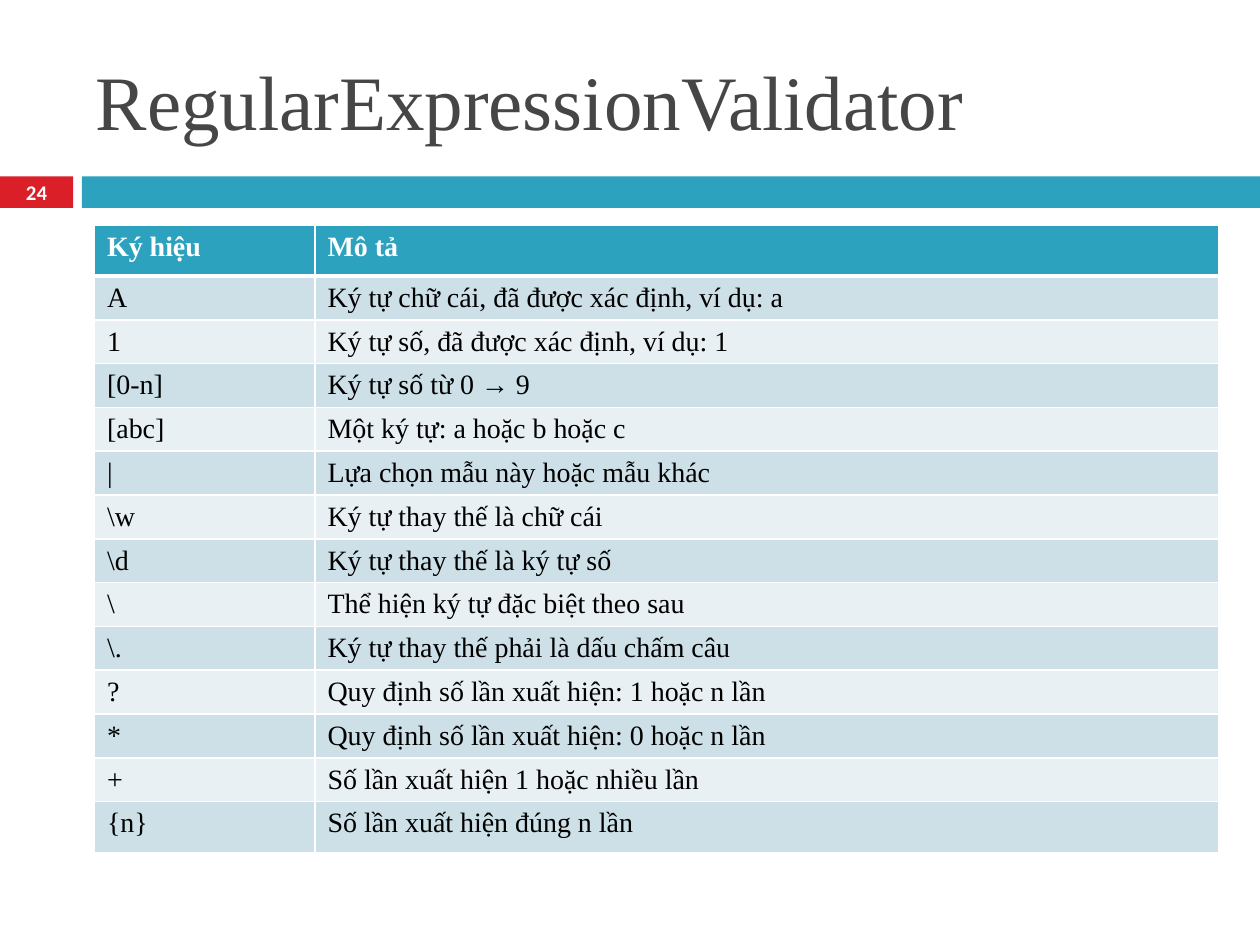
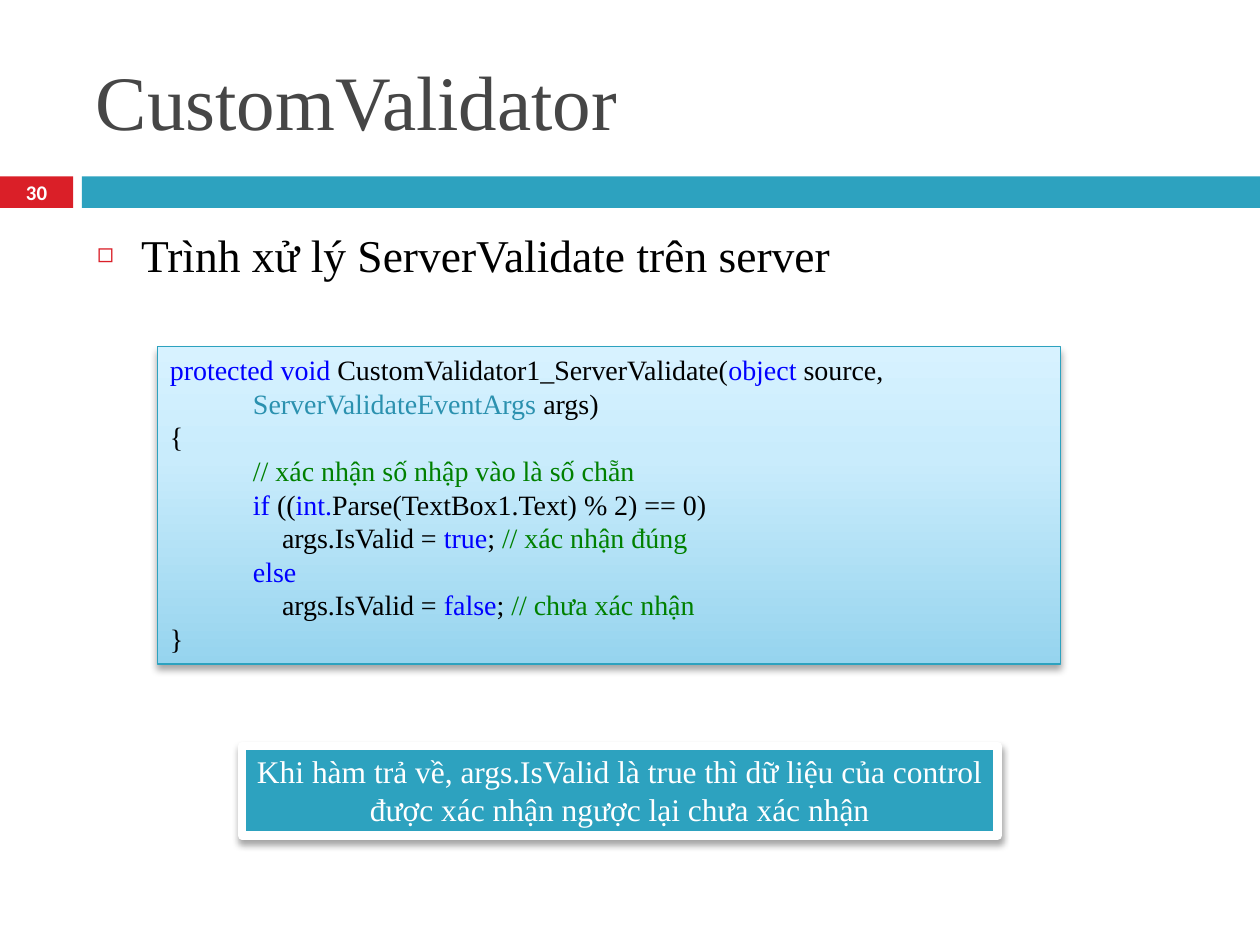
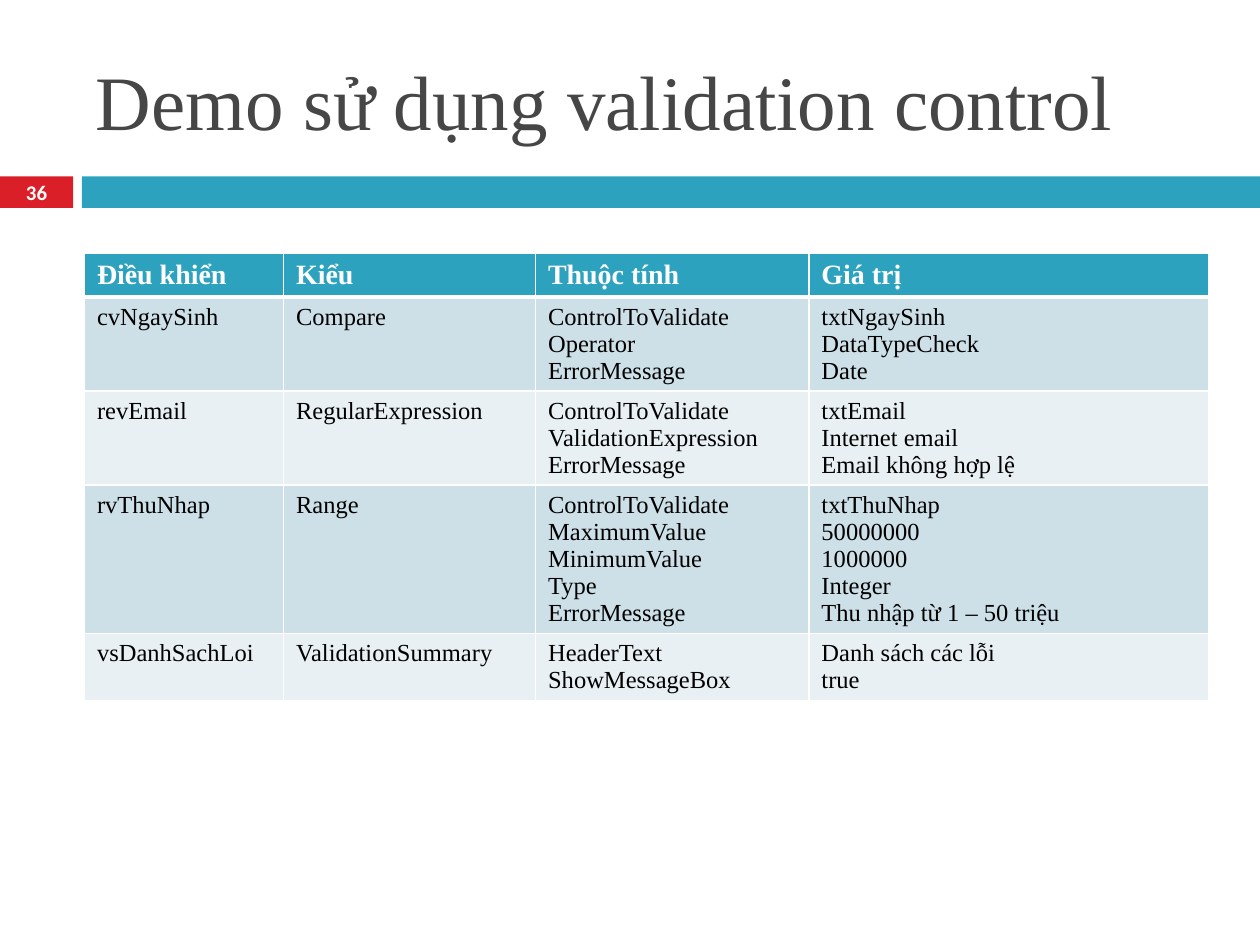
from dataclasses import dataclass
from typing import NamedTuple

from lxml.etree import SubElement
from pptx import Presentation
from pptx.dml.color import RGBColor
from pptx.enum.shapes import MSO_SHAPE
from pptx.enum.text import MSO_ANCHOR, MSO_AUTO_SIZE, PP_ALIGN
from pptx.oxml.ns import qn
from pptx.util import Inches, Pt


# Colours, fonts and type sizes
@dataclass(frozen=True)
class Theme:
    font: str = "Times New Roman"
    number_font: str = "Calibri"
    white: str = "FFFFFF"
    black: str = "000000"
    title: str = "464646"
    teal: str = "2DA2BF"
    red: str = "DA1F28"
    row_dark: str = "CDE0E8"
    row_light: str = "E8F0F4"
    keyword: str = "0000FF"
    type_name: str = "2B91AF"
    comment: str = "008000"
    code_gradient: tuple = ((0, "96D4EE"), (65, "C9ECFC"), (100, "D7F2FF"))
    title_size: float = 44
    body_size: float = 26
    callout_size: float = 18
    code_size: float = 16
    header_size: float = 16
    detail_size: float = 14
    number_size: float = 11.9
    code_leading: float = 1.2
    table_leading: float = 1.11


T = Theme()


class Box(NamedTuple):
    left: float
    top: float
    width: float
    height: float

    def lengths(self) -> list:
        return [Inches(side) for side in self]


class CodeLine(NamedTuple):
    indent: float
    runs: tuple  # (text, colour) pairs


@dataclass(frozen=True)
class TableSpec:
    left: float
    top: float
    columns: tuple
    heights: tuple
    body_size: float
    rows: tuple  # the first row is the header; "\n" parts paragraphs


TITLE_BOX = Box(0.66, 0.25, 8.92, 1.08)
BODY_BOX = Box(0.67, 1.75, 8.92, 4.92)
NUMBER_BOX = Box(0, 1.39, 0.58, 0.27)
BANDS = ((Box(0, 1.4, 0.58, 0.25), T.red), (Box(0.65, 1.4, 9.35, 0.25), T.teal))


# Text and shape helpers
def rgb(colour: str) -> RGBColor:
    return RGBColor.from_string(colour)


def add_run(paragraph, text: str, size: float, colour: str,
            bold: bool = False, font: str = T.font) -> None:
    run = paragraph.add_run()
    run.text = text
    run.font.size, run.font.name, run.font.bold = Pt(size), font, bold
    run.font.color.rgb = rgb(colour)


def add_paragraph(frame, index: int, leading: float):
    paragraph = frame.add_paragraph() if index else frame.paragraphs[0]
    paragraph.line_spacing = Pt(round(leading, 1))
    return paragraph


def set_indent(paragraph, margin: float, first: float = 0):
    properties = paragraph._p.get_or_add_pPr()
    properties.set("marL", str(Inches(margin)))
    properties.set("indent", str(Inches(first)))
    return properties


def add_panel(slide, box: Box, fill: str, line: str = "", line_width: float = 0):
    panel = slide.shapes.add_shape(MSO_SHAPE.RECTANGLE, *box.lengths())
    panel.shadow.inherit = False
    panel.fill.solid()
    panel.fill.fore_color.rgb = rgb(fill)
    if line:
        panel.line.color.rgb = rgb(line)
        panel.line.width = Pt(line_width)
    else:
        panel.line.fill.background()
    panel.text_frame.word_wrap = True
    panel.text_frame.vertical_anchor = MSO_ANCHOR.TOP
    return panel


def add_colour(parent, colour: str):
    return SubElement(parent, qn("a:srgbClr"), val=colour)


def cast_shadow(panel) -> None:
    effects = panel.element.spPr.find(qn("a:effectLst"))
    shadow = SubElement(effects, qn("a:outerShdw"), blurRad=str(Pt(4)),
                        dist=str(Pt(3)), dir="5400000", rotWithShape="0")
    SubElement(add_colour(shadow, T.black), qn("a:alpha"), val="35000")


def shade(panel, stops: tuple) -> None:
    panel.fill.gradient()
    panel.fill.gradient_angle = 90
    stop_list = panel.element.spPr.find(".//" + qn("a:gsLst"))
    for stop in list(stop_list):
        stop_list.remove(stop)
    for percent, colour in stops:
        add_colour(SubElement(stop_list, qn("a:gs"), pos=str(percent * 1000)), colour)


# Slide parts
def move_bands_to_master(prs, slide) -> None:
    tree = prs.slide_master.shapes.element
    for position, (box, colour) in enumerate(BANDS, start=2):
        tree.insert(position, add_panel(slide, box, colour).element)


def place(placeholder, box: Box):
    (placeholder.left, placeholder.top,
     placeholder.width, placeholder.height) = box.lengths()
    placeholder.text_frame.auto_size = MSO_AUTO_SIZE.NONE
    return placeholder.text_frame


def add_titled_slide(prs, layout: int, title: str, number: int):
    slide = prs.slides.add_slide(prs.slide_layouts[layout])
    heading = place(slide.shapes.title, TITLE_BOX)
    heading.vertical_anchor = MSO_ANCHOR.MIDDLE
    heading.paragraphs[0].alignment = PP_ALIGN.LEFT
    add_run(heading.paragraphs[0], title, T.title_size, T.title)

    page = slide.shapes.add_textbox(*NUMBER_BOX.lengths()).text_frame
    page.word_wrap = True
    page.vertical_anchor = MSO_ANCHOR.MIDDLE
    page.paragraphs[0].alignment = PP_ALIGN.CENTER
    add_run(page.paragraphs[0], str(number), T.number_size, T.white, True, T.number_font)
    return slide


def add_bullet(slide, text: str) -> None:
    bullet = place(slide.placeholders[1], BODY_BOX).paragraphs[0]
    bullet.space_before = Pt(7)
    properties = set_indent(bullet, 0.35, -0.35)
    add_colour(SubElement(properties, qn("a:buClr")), T.red)
    SubElement(properties, qn("a:buSzPct"), val="60000")
    SubElement(properties, qn("a:buChar"), char="◻")
    add_run(bullet, text, T.body_size, T.black)


def add_code(slide, box: Box, lines: tuple) -> None:
    panel = add_panel(slide, box, T.white, T.teal, 0.75)
    shade(panel, T.code_gradient)
    cast_shadow(panel)
    for index, line in enumerate(lines):
        paragraph = add_paragraph(panel.text_frame, index, T.code_size * T.code_leading)
        paragraph.alignment = PP_ALIGN.LEFT
        set_indent(paragraph, line.indent)
        for text, colour in line.runs:
            add_run(paragraph, text, T.code_size, colour)


def add_callout(slide, box: Box, text: str) -> None:
    panel = add_panel(slide, box, T.teal, T.white, 5)
    cast_shadow(panel)
    message = panel.text_frame.paragraphs[0]
    message.alignment = PP_ALIGN.CENTER
    add_run(message, text, T.callout_size, T.white)


def set_borders(cell, row: int) -> None:
    properties = cell._tc.get_or_add_tcPr()
    widths = {"L": 1, "R": 1, "T": 3 if row == 1 else 1, "B": 3 if row == 0 else 1}
    for side, width in widths.items():
        line = SubElement(properties, qn(f"a:ln{side}"), w=str(Pt(width)))
        add_colour(SubElement(line, qn("a:solidFill")), T.white)


def add_table(slide, spec: TableSpec) -> None:
    box = Box(spec.left, spec.top, sum(spec.columns), sum(spec.heights))
    table = slide.shapes.add_table(
        len(spec.rows), len(spec.columns), *box.lengths()).table
    for column, width in zip(table.columns, spec.columns):
        column.width = Inches(width)
    for row, (height, texts) in enumerate(zip(spec.heights, spec.rows)):
        table.rows[row].height = Inches(height)
        header = row == 0
        fill = T.teal if header else (T.row_light, T.row_dark)[row % 2]
        size = T.header_size if header else spec.body_size
        for column, text in enumerate(texts):
            cell = table.cell(row, column)
            set_borders(cell, row)
            cell.fill.solid()
            cell.fill.fore_color.rgb = rgb(fill)
            for index, part in enumerate(text.split("\n")):
                paragraph = add_paragraph(cell.text_frame, index, size * T.table_leading)
                add_run(paragraph, part, size, T.white if header else T.black, header)


# Content
SYMBOLS = TableSpec(0.75, 1.79, (1.75, 7.17), (0.4, *[0.34] * 12, 0.41), T.header_size, (
    ("Ký hiệu", "Mô tả"),
    ("A", "Ký tự chữ cái, đã được xác định, ví dụ: a"),
    ("1", "Ký tự số, đã được xác định, ví dụ: 1"),
    ("[0-n]", "Ký tự số từ 0 → 9"),
    ("[abc]", "Một ký tự: a hoặc b hoặc c"),
    ("|", "Lựa chọn mẫu này hoặc mẫu khác"),
    ("\\w", "Ký tự thay thế là chữ cái"),
    ("\\d", "Ký tự thay thế là ký tự số"),
    ("\\", "Thể hiện ký tự đặc biệt theo sau"),
    ("\\.", "Ký tự thay thế phải là dấu chấm câu"),
    ("?", "Quy định số lần xuất hiện: 1 hoặc n lần"),
    ("*", "Quy định số lần xuất hiện: 0 hoặc n lần"),
    ("+", "Số lần xuất hiện 1 hoặc nhiều lần"),
    ("{n}", "Số lần xuất hiện đúng n lần"),
))

CONTROLS = TableSpec(0.67, 2.01, (1.58, 2, 2.17, 3.17), (0.34, 0.69, 0.69, 1.1, 0.49),
                     T.detail_size, (
    ("Điều khiển", "Kiểu", "Thuộc tính", "Giá trị"),
    ("cvNgaySinh", "Compare", "ControlToValidate\nOperator\nErrorMessage",
     "txtNgaySinh\nDataTypeCheck\nDate"),
    ("revEmail", "RegularExpression",
     "ControlToValidate\nValidationExpression\nErrorMessage",
     "txtEmail\nInternet email\nEmail không hợp lệ"),
    ("rvThuNhap", "Range",
     "ControlToValidate\nMaximumValue\nMinimumValue\nType\nErrorMessage",
     "txtThuNhap\n50000000\n1000000\nInteger\nThu nhập từ 1 – 50 triệu"),
    ("vsDanhSachLoi", "ValidationSummary", "HeaderText\nShowMessageBox",
     "Danh sách các lỗi\ntrue"),
))

STEP, NESTED = 0.66, 0.89  # code indents
SERVER_VALIDATE = (
    CodeLine(0, (("protected void ", T.keyword),
                 ("CustomValidator1_ServerValidate(", T.black),
                 ("object ", T.keyword), ("source,", T.black))),
    CodeLine(STEP, (("ServerValidateEventArgs ", T.type_name), ("args)", T.black))),
    CodeLine(0, (("{", T.black),)),
    CodeLine(STEP, (("// xác nhận số nhập vào là số chẵn", T.comment),)),
    CodeLine(STEP, (("if ", T.keyword), ("((", T.black), ("int.", T.keyword),
                    ("Parse(TextBox1.Text) % 2) == 0)", T.black))),
    CodeLine(NESTED, (("args.IsValid = ", T.black), ("true", T.keyword),
                      ("; ", T.black), ("// xác nhận đúng", T.comment))),
    CodeLine(STEP, (("else", T.keyword),)),
    CodeLine(NESTED, (("args.IsValid = ", T.black), ("false", T.keyword),
                      ("; ", T.black), ("// chưa xác nhận", T.comment))),
    CodeLine(0, (("}", T.black),)),
)


def main() -> None:
    prs = Presentation()
    prs.slide_width, prs.slide_height = Inches(10), Inches(7.5)
    content_layout, title_only = 1, 5

    # Regular expression symbols
    regex = add_titled_slide(prs, title_only, "RegularExpressionValidator", 24)
    move_bands_to_master(prs, regex)
    add_table(regex, SYMBOLS)

    # Server-side handler
    custom = add_titled_slide(prs, content_layout, "CustomValidator", 30)
    add_bullet(custom, "Trình xử lý ServerValidate trên server")
    add_code(custom, Box(1.25, 2.75, 7.17, 2.52), SERVER_VALIDATE)
    add_callout(custom, Box(1.92, 5.92, 6, 0.71),
                "Khi hàm trả về, args.IsValid là true thì dữ liệu của control "
                "được xác nhận ngược lại chưa xác nhận")

    # Validation control demo
    demo = add_titled_slide(prs, title_only, "Demo sử dụng validation control", 36)
    add_table(demo, CONTROLS)

    prs.save("out.pptx")


main()
